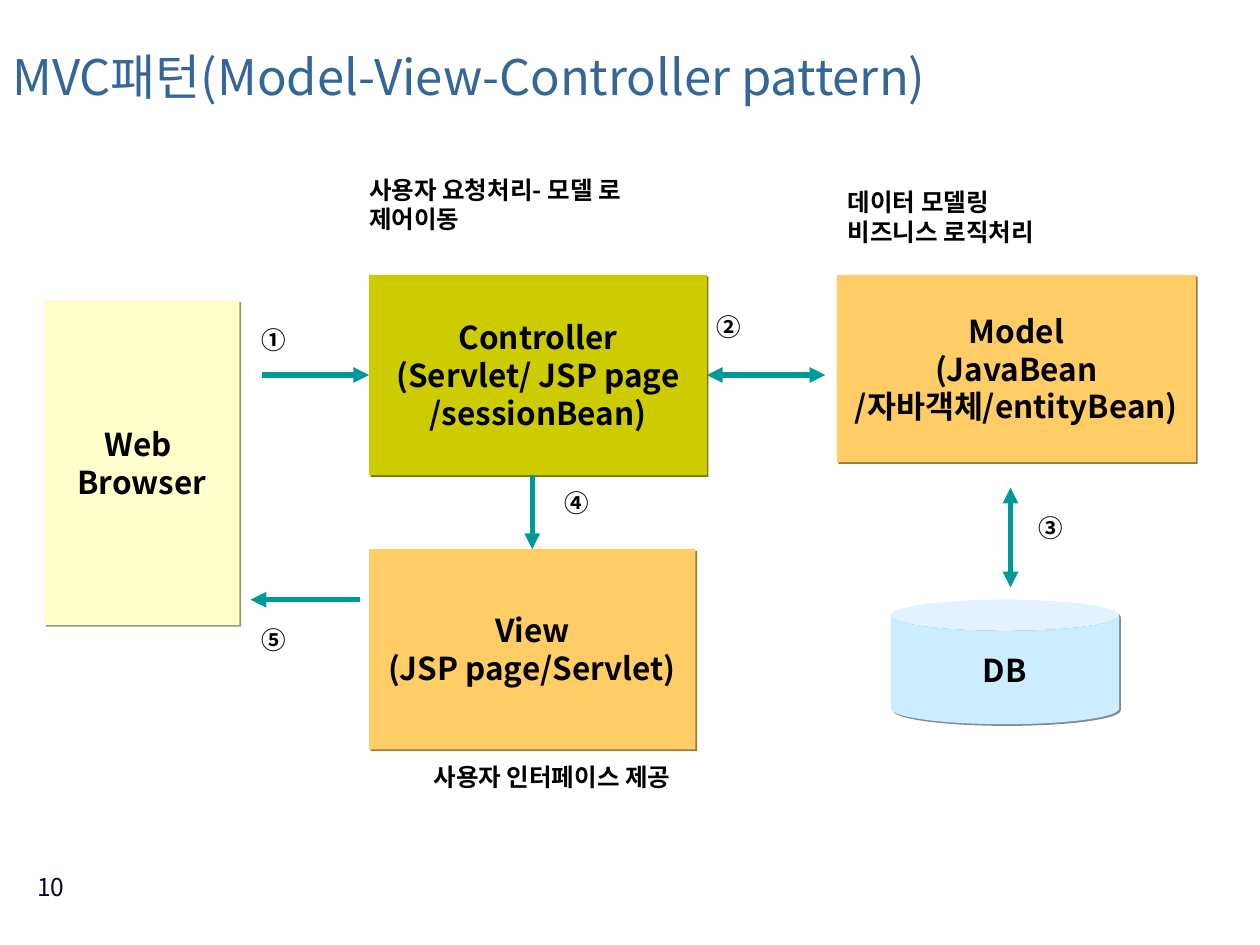
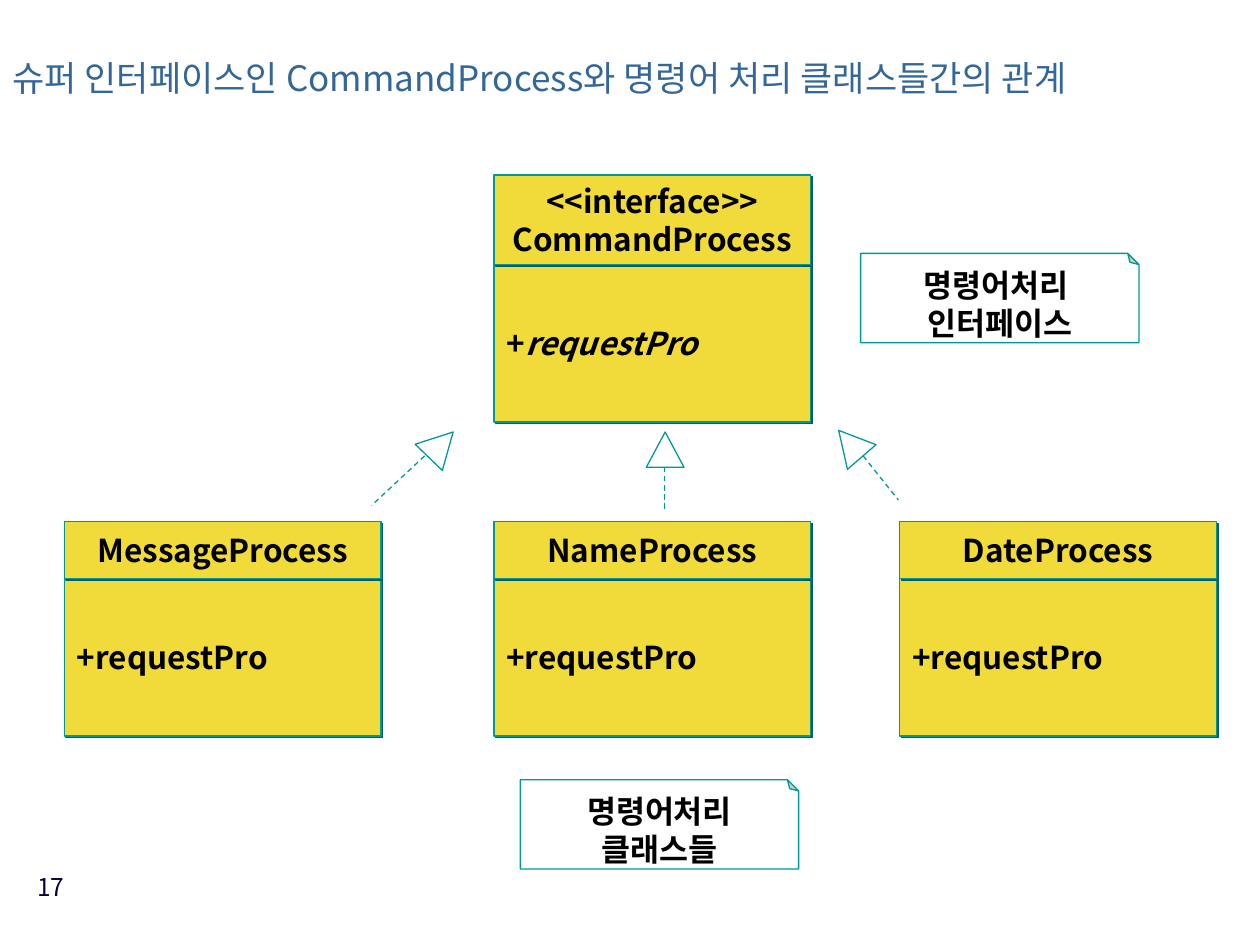
from lxml.etree import SubElement
from pptx import Presentation
from pptx.dml.color import RGBColor
from pptx.enum.dml import MSO_LINE
from pptx.enum.shapes import MSO_CONNECTOR, MSO_SHAPE as Shape
from pptx.enum.text import MSO_ANCHOR as Anchor, PP_ALIGN as Align
from pptx.oxml.ns import qn
from pptx.util import Cm, Pt

FONT = "Noto Sans CJK KR"
INK = RGBColor(0x01, 0x00, 0x00)
TITLE_BLUE = RGBColor(0x33, 0x66, 0x99)
NUMBER_NAVY = RGBColor(0x08, 0x00, 0x3A)
TEAL = RGBColor(0x00, 0x99, 0x99)
CREAM = RGBColor(0xFF, 0xFF, 0xCC)
ORANGE = RGBColor(0xFF, 0xCC, 0x66)
OLIVE = RGBColor(0xCC, 0xCC, 0x00)
SKY = RGBColor(0xCC, 0xEC, 0xFF)
YELLOW = RGBColor(0xF1, 0xDB, 0x3B)
WHITE = RGBColor(0xFF, 0xFF, 0xFF)

CLASS_WIDTH = 6.38
METHODS_HEIGHT = 3.18


def add_span(para, text, size=18, color=INK, bold=True, italic=False):
    """Add one formatted run in the deck font."""
    span = para.add_run()
    span.text = text
    font = span.font
    font.size, font.bold, font.italic = Pt(size), bold, italic
    font.color.rgb = color
    font.name = FONT
    SubElement(font._element, qn("a:ea"), typeface=FONT)


def write(frame, text, align=Align.LEFT, before=None, spacing=None, **span_format):
    """Fill a text frame with one paragraph per line of text."""
    for index, line in enumerate(text.split("\n")):
        para = frame.add_paragraph() if index else frame.paragraphs[0]
        para.alignment = align
        if before:
            para.space_before = Pt(before)
        if spacing:
            para.line_spacing = spacing
        add_span(para, line, **span_format)


def add_text(page, text, left, top, width, height, inset=True, anchor=Anchor.TOP, **text_format):
    """Add a wrapping text box, with or without inner margins."""
    frame = page.shapes.add_textbox(Cm(left), Cm(top), Cm(width), Cm(height)).text_frame
    frame.word_wrap = True
    frame.vertical_anchor = anchor
    if not inset:
        frame.margin_left = frame.margin_top = frame.margin_right = frame.margin_bottom = 0
    write(frame, text, **text_format)


def add_caption(page, text, left, top, height=0.58):
    """Add a bold caption without margins."""
    add_text(page, text, left, top, 6.58, height, inset=False, size=14)


def add_step(page, number, left, top):
    """Add a circled step number."""
    add_text(page, number, left, top, 1.1, 0.58, inset=False, size=14, before=8.8)


def drop_shadow(shape, color):
    """Give a shape a hard shadow in a darker tone of a colour."""
    effects = shape.element.spPr.find(qn("a:effectLst"))
    shadow = SubElement(effects, qn("a:outerShdw"), dist=str(Pt(1.4)), dir="2700000",
                        algn="ctr", rotWithShape="0")
    dark = RGBColor(*(round(part * 0.6) for part in color))
    SubElement(shadow, qn("a:srgbClr"), val=str(dark))


def add_box(page, text, left, top, width, height, kind=Shape.RECTANGLE, fill=None,
            outline=None, shadow=None, align=Align.CENTER):
    """Add a preset shape with bold unwrapped text."""
    box = page.shapes.add_shape(kind, Cm(left), Cm(top), Cm(width), Cm(height))
    box.shadow.inherit = False
    if fill is None:
        box.fill.background()
    else:
        box.fill.solid()
        box.fill.fore_color.rgb = fill
    if outline is None:
        box.line.fill.background()
    else:
        box.line.color.rgb = outline
        box.line.width = Pt(0.75)
    if shadow is not None:
        drop_shadow(box, shadow)
    box.text_frame.word_wrap = False
    box.text_frame.vertical_anchor = Anchor.MIDDLE
    if text:
        write(box.text_frame, text, align=align)
    return box


def add_part(page, text, left, top, width, height, fill, kind=Shape.RECTANGLE):
    """Add a part of the pattern: a filled shape with a shadow."""
    return add_box(page, text, left, top, width, height, kind=kind, fill=fill, shadow=fill)


def add_line(page, start, end, width=3, dash=None, head=False, tail=False):
    """Add a straight teal line with optional arrowheads."""
    line = page.shapes.add_connector(MSO_CONNECTOR.STRAIGHT, *map(Cm, start + end))
    line.line.color.rgb = TEAL
    line.line.width = Pt(width)
    if dash:
        line.line.dash_style = dash
    outline = line.line._get_or_add_ln()
    for tag, wanted in (("a:headEnd", head), ("a:tailEnd", tail)):
        if wanted:
            SubElement(outline, qn(tag), type="triangle")
    SubElement(line.element.spPr, qn("a:effectLst"))
    return line


def add_class(page, name, left, top, name_height, method=None):
    """Add a class with a name box above a method box."""
    style = dict(fill=YELLOW, outline=TEAL, shadow=TEAL)
    methods = add_box(page, method, left, top + name_height, CLASS_WIDTH, METHODS_HEIGHT,
                      align=Align.LEFT, **style)
    add_box(page, name, left, top, CLASS_WIDTH, name_height, **style)
    return methods


def add_note(page, text, left, top):
    """Add a note whose folded corner is at the top right."""
    note = add_box(page, text, left, top, 5.61, 1.8, kind=Shape.FOLDED_CORNER,
                   fill=WHITE, outline=TEAL)
    guides = note.element.spPr.find(qn("a:prstGeom")).find(qn("a:avLst"))
    SubElement(guides, qn("a:gd"), name="adj", fmla="val 12500")
    note.element.spPr.get_or_add_xfrm().set("flipV", "1")
    note.element.txBody.find(qn("a:bodyPr")).set("rot", "10800000")


def add_realization(page, left, top, rotation, start, end):
    """Add a hollow triangle with a dashed line behind it."""
    triangle = add_box(page, None, left, top, 0.76, 0.71, kind=Shape.ISOSCELES_TRIANGLE,
                       outline=TEAL)
    triangle.rotation = rotation
    add_line(page, start, end, width=0.75, dash=MSO_LINE.DASH)


def add_page(deck, title, title_width, title_size, number):
    """Add a blank page with its title and page number."""
    page = deck.slides.add_slide(deck.slide_layouts[6])
    add_text(page, number, 0.36, 17.45, 1.19, 1.32, align=Align.RIGHT, size=14,
             color=NUMBER_NAVY, bold=False)
    add_text(page, title, 0, 0.53, title_width, 2.29, anchor=Anchor.MIDDLE, spacing=0.7,
             size=title_size, color=TITLE_BLUE, bold=False)
    return page


def build_pattern(deck):
    """Build the page on the MVC pattern."""
    page = add_page(deck, "MVC패턴(Model-View-Controller pattern)", 20.6, 28, "10")
    add_part(page, "Web \nBrowser", 0.89, 6.05, 3.94, 6.55, CREAM)
    view = add_part(page, "View\n(JSP page/Servlet)", 7.44, 11.07, 6.58, 4.04, ORANGE)
    controller = add_part(page, "Controller\n(Servlet/ JSP page\n/sessionBean)",
                          7.44, 5.54, 6.81, 4.04, OLIVE)
    add_part(page, "Model\n(JavaBean\n/자바객체/entityBean)", 16.87, 5.54, 7.24, 3.78, ORANGE)
    add_part(page, "DB", 17.96, 12.09, 4.6, 2.51, SKY, kind=Shape.CAN)

    request = add_line(page, (5.28, 7.56), (7.44, 7.56), tail=True)
    request.end_connect(controller, 1)
    model_call = add_line(page, (14.25, 7.56), (16.64, 7.56), head=True, tail=True)
    model_call.begin_connect(controller, 3)
    add_line(page, (20.37, 9.83), (20.37, 11.84), head=True, tail=True)
    forward = add_line(page, (10.73, 9.58), (10.73, 11.07), tail=True)
    forward.end_connect(view, 0)
    add_line(page, (7.26, 12.09), (5.05, 12.09), tail=True)

    steps = (("①", 5.28, 6.55), ("②", 14.45, 6.3), ("③", 20.93, 10.34),
             ("④", 11.38, 9.83), ("⑤", 5.28, 12.6))
    for step in steps:
        add_step(page, *step)
    add_caption(page, "사용자 요청처리- 모델 로 제어이동", 7.44, 3.53, 1.19)
    add_caption(page, "데이터 모델링\n비즈니스 로직처리", 17.09, 3.78, 1.19)
    add_caption(page, "사용자 인터페이스 제공", 8.74, 15.37)


def build_classes(deck):
    """Build the page on the interface and its classes."""
    page = add_page(deck, "슈퍼 인터페이스인 CommandProcess와 명령어 처리 클래스들간의 관계",
                    24.89, 20, "17")
    methods = add_class(page, "<<interface>>\nCommandProcess", 9.96, 3.53, 1.8)
    para = methods.text_frame.paragraphs[0]
    para.alignment = Align.LEFT
    add_span(para, "+")
    add_span(para, "requestPro", italic=True)

    for name, left in (("MessageProcess", 1.3), ("NameProcess", 9.96), ("DateProcess", 18.14)):
        add_class(page, name, left, 10.52, 1.14, method="+requestPro")

    add_realization(page, 8.51, 8.61, 43.9, (8.56, 9.19), (7.49, 10.19))
    add_realization(page, 13.03, 8.71, 0, (13.39, 9.42), (13.39, 10.29))
    add_realization(page, 16.76, 8.59, 319.1, (17.4, 9.19), (18.11, 10.08))

    add_note(page, "명령어처리 \n인터페이스", 17.35, 5.11)
    add_note(page, "명령어처리\n클래스들", 10.49, 15.72)


def main():
    """Build and save the deck."""
    deck = Presentation()
    deck.slide_width, deck.slide_height = Cm(25.4), Cm(19.05)
    build_pattern(deck)
    build_classes(deck)
    deck.save("out.pptx")


if __name__ == "__main__":
    main()
